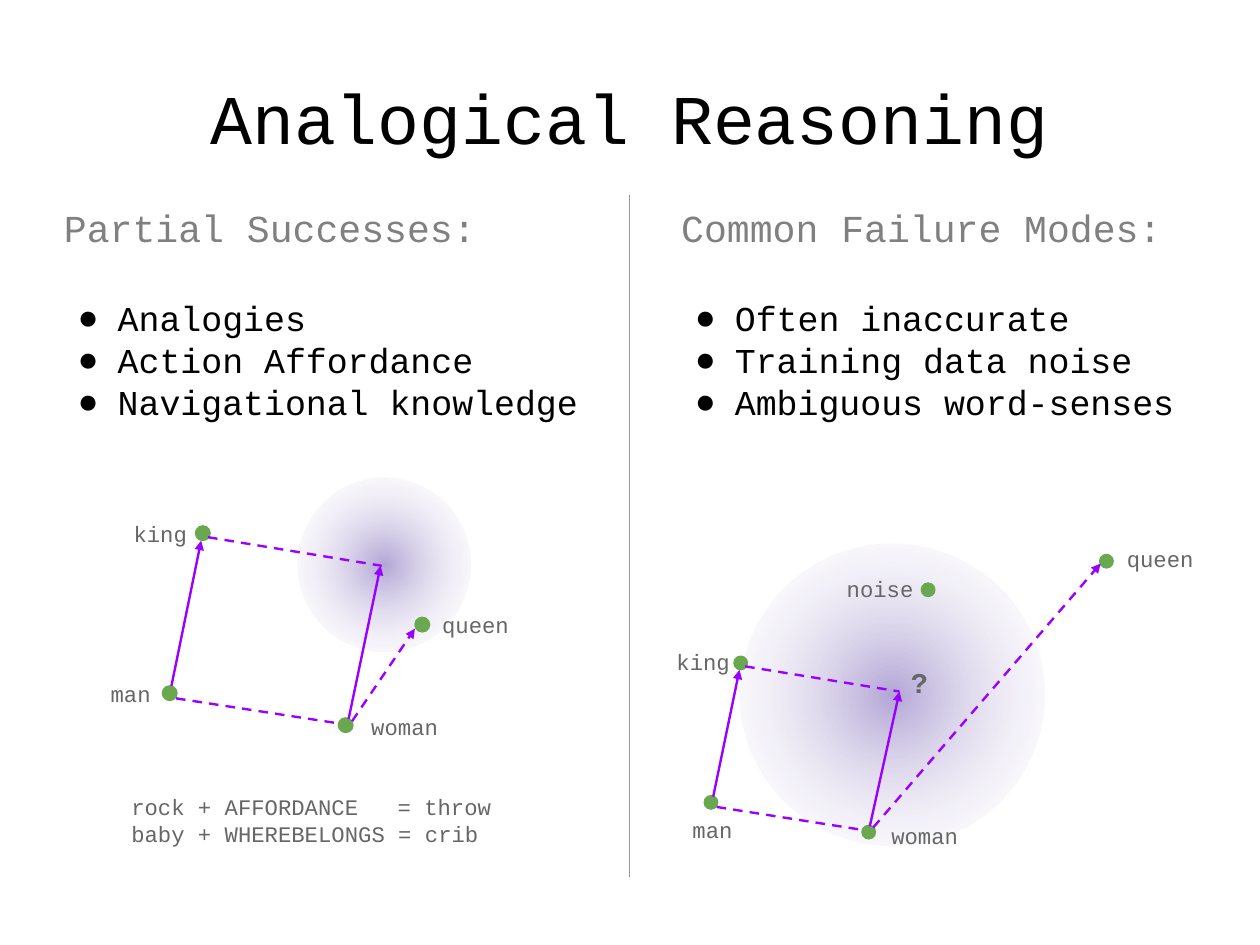
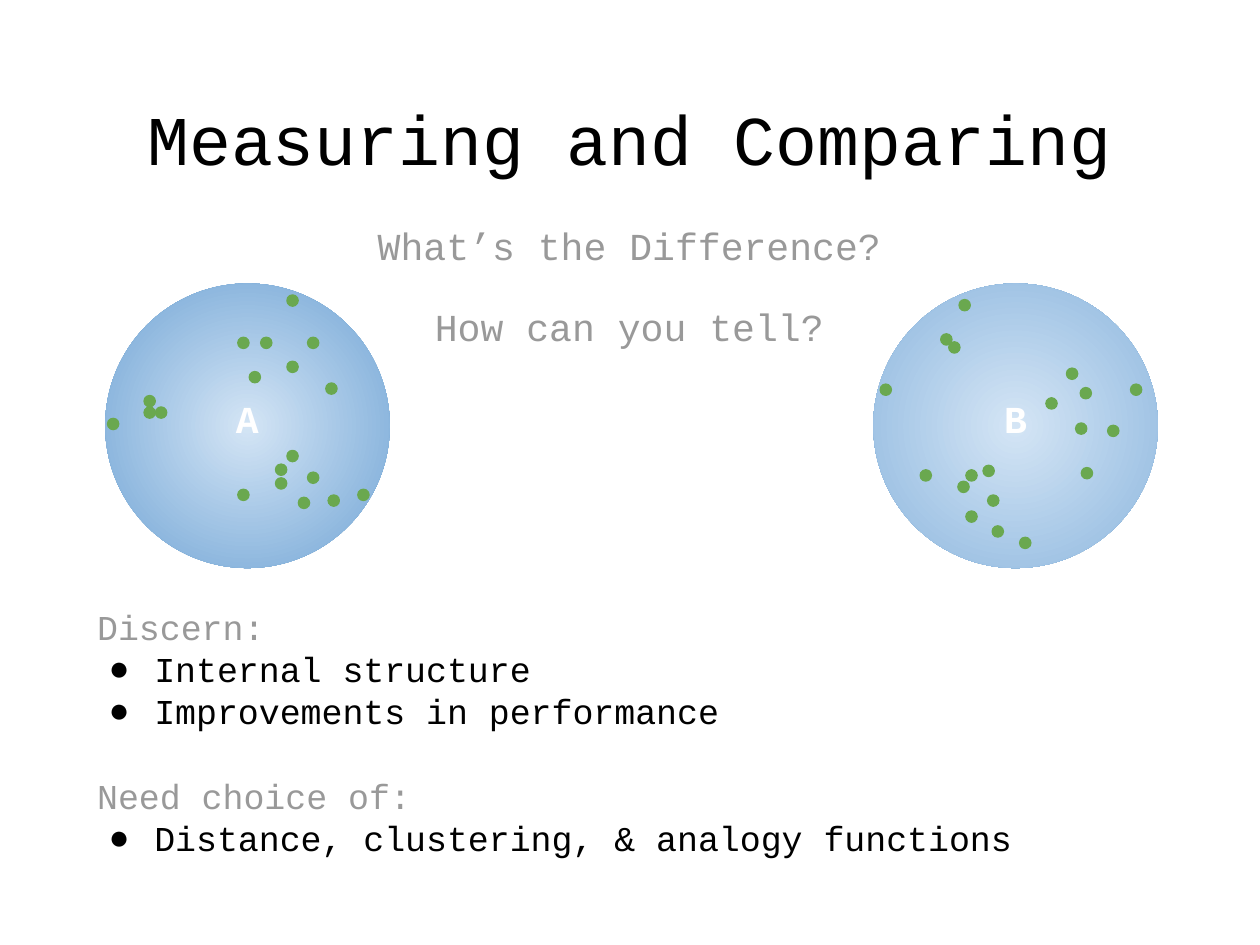
import pptx
import pptx.util
import pptx.dml.color
import pptx.enum.dml
import pptx.enum.shapes
import pptx.enum.text
import pptx.oxml
import pptx.oxml.ns
import lxml.etree

PX = 9144
FACE = "Courier New"
INK = {
    "black": "000000", "head": "808080", "gray": "999999", "label": "666666",
    "white": "FFFFFF", "dot": "6AA84F", "link": "9900FF",
    "haze": "B4A7D6", "pale": "D4E5F5", "blue": "70A4D5",
}
ALIGN = pptx.enum.text.PP_ALIGN
ANCHOR = pptx.enum.text.MSO_ANCHOR
OVAL = pptx.enum.shapes.MSO_SHAPE.OVAL
STRAIGHT = pptx.enum.shapes.MSO_CONNECTOR.STRAIGHT
DASH = pptx.enum.dml.MSO_LINE.DASH
qn = pptx.oxml.ns.qn
NS = pptx.oxml.ns.nsdecls("a")


def write(shape, box, rows, pad=0, anchor=ANCHOR.TOP, align=ALIGN.LEFT):
    shape.left, shape.top, shape.width, shape.height = [v * PX for v in box]
    frame = shape.text_frame
    frame.word_wrap = True
    frame.auto_size = pptx.enum.text.MSO_AUTO_SIZE.NONE
    frame.vertical_anchor = anchor
    frame.margin_left = frame.margin_right = pad * PX
    frame.margin_top = frame.margin_bottom = pad * PX
    for i, (text, size, ink, more) in enumerate(rows):
        para = frame.paragraphs[0] if i == 0 else frame.add_paragraph()
        para.text = text
        prop = para._p.get_or_add_pPr()
        left, hang = more.get("dent", (0, 0))
        if shape.is_placeholder:
            prop.set("marL", str(left * PX))
            prop.set("indent", str(-hang * PX))
        if left:
            tint = lxml.etree.SubElement(prop, qn("a:buClr"))
            lxml.etree.SubElement(tint, qn("a:srgbClr")).set("val", INK["black"])
            lxml.etree.SubElement(prop, qn("a:buChar")).set("char", "●")
        elif shape.is_placeholder:
            lxml.etree.SubElement(prop, qn("a:buNone"))
        if "tab" in more:
            tabs = lxml.etree.SubElement(prop, qn("a:tabLst"))
            stop = lxml.etree.SubElement(tabs, qn("a:tab"))
            stop.set("pos", str(more["tab"] * PX))
            stop.set("algn", "l")
        para.alignment = align
        para.line_spacing = 1.0
        para.space_before = pptx.util.Pt(more.get("gap", 0))
        para.space_after = pptx.util.Pt(0)
        para.font.name = FACE
        para.font.size = pptx.util.Pt(size)
        para.font.bold = more.get("bold", False)
        para.font.color.rgb = pptx.dml.color.RGBColor.from_string(INK[ink])


def draw(slide, box, fill, edge=None, alpha=100):
    oval = slide.shapes.add_shape(OVAL, *[v * PX for v in box])
    oval.shadow.inherit = False
    if edge is None:
        tone = pptx.dml.color.RGBColor.from_string(INK[fill])
        oval.fill.solid()
        oval.fill.fore_color.rgb = tone
        oval.line.color.rgb = tone
        oval.line.width = pptx.util.Pt(0.75)
    else:
        oval.line.fill.background()
        grad = pptx.oxml.parse_xml(
            f'<a:gradFill {NS} rotWithShape="1"><a:gsLst>'
            f'<a:gs pos="0"><a:srgbClr val="{INK[fill]}"/></a:gs>'
            f'<a:gs pos="100000"><a:srgbClr val="{INK[edge]}">'
            f'<a:alpha val="{alpha * 1000}"/></a:srgbClr></a:gs></a:gsLst>'
            '<a:path path="circle"><a:fillToRect l="50000" t="50000" '
            'r="50000" b="50000"/></a:path></a:gradFill>')
        oval._element.spPr.find(qn("a:prstGeom")).addnext(grad)
    return oval


deck = pptx.Presentation()
deck.slide_width, deck.slide_height = pptx.util.Cm(28), pptx.util.Cm(21)
pages = []
for title, box, layout in [
    ("Analogical Reasoning", (55, 33, 992, 138), 3),
    ("Measuring and Comparing", (55, 49, 992, 143), 1),
]:
    page = deck.slides.add_slide(deck.slide_layouts[layout])
    write(page.shapes.title, box, [(title, 44, "black", {})],
          anchor=ANCHOR.MIDDLE, align=ALIGN.CENTER)
    pages.append(page)
first, last = pages

for slot, left, high, head, items in [
    (2, 596, 237, "Common Failure Modes:",
     ["Often inaccurate", "Training data noise", "Ambiguous word-senses"]),
    (1, 56, 244, "Partial Successes:",
     ["Analogies", "Action Affordance", "Navigational knowledge"]),
]:
    rows = [(head, 24, "head", {})]
    for i, item in enumerate(items):
        rows.append((item, 22, "black", {"dent": (47, 35), "gap": 0 if i else 29}))
    write(first.placeholders[slot], (left, 179, 475, high), rows)

graphs = [
    {
        "ball": (260, 418, 152, 152), "size": 13,
        "dots": [(363, 540), (296, 628), (142, 600), (171, 460)],
        "links": [(150, 600, 176, 473, "arrow"), (305, 629, 333, 495, "arrow"),
                  (154, 611, 297, 633, "dash"), (182, 470, 334, 495, "dash"),
                  (308, 631, 363, 550, "dash arrow")],
        "words": [("man", 87, 585), ("king", 107, 445),
                  ("woman", 315, 614), ("queen", 377, 525)],
    },
    {
        "ball": (647, 476, 267, 264), "size": 12,
        "dots": [(962, 485), (754, 722), (616, 696), (642, 574), (806, 510)],
        "links": [(624, 697, 647, 586, "arrow"), (761, 723, 787, 605, "arrow"),
                  (627, 706, 754, 726, "dash"), (652, 583, 787, 605, "dash"),
                  (764, 724, 963, 493, "dash arrow")],
        "words": [("man", 596, 704), ("king", 582, 557), ("woman", 770, 709),
                  ("queen", 976, 467), ("noise", 731, 493), ("?", 787, 572)],
    },
]
lines = [(551, 171, 551, 767, "rule")]
for graph in graphs:
    draw(first, graph["ball"], "haze", "white", 0)
    for x, y in graph["dots"]:
        draw(first, (x, y, graph["size"], graph["size"]), "dot")
    lines += graph["links"]
    for word, x, y in graph["words"]:
        mark = word == "?"
        write(first.shapes.add_textbox(0, 0, 0, 0), (x, y, 96, 39),
              [(word, 18 if mark else 14, "label", {"bold": mark})], pad=10)

for *ends, kind in lines:
    line = first.shapes.add_connector(STRAIGHT, *[v * PX for v in ends])
    rule = kind == "rule"
    line.line.color.rgb = pptx.dml.color.RGBColor.from_string(
        INK["gray" if rule else "link"])
    line.line.width = pptx.util.Pt(0.75 if rule else 1.5)
    if "dash" in kind:
        line.line.dash_style = DASH
    if "arrow" in kind:
        tail = lxml.etree.SubElement(line.line._get_or_add_ln(), qn("a:tailEnd"))
        tail.set("type", "triangle")
    lxml.etree.SubElement(line._element.spPr, qn("a:effectLst"))

write(first.shapes.add_textbox(0, 0, 0, 0), (105, 684, 339, 74), [
    ("rock + AFFORDANCE\t= throw", 14, "label", {"tab": 233}),
    ("baby + WHEREBELONGS = crib", 14, "label", {}),
], pad=10)

item = {"dent": (50, 40)}
write(last.placeholders[1], (85, 530, 869, 220), [
    ("Discern:", 22, "gray", {}),
    ("Internal structure", 22, "black", item),
    ("Improvements in performance", 22, "black", item),
    ("Need choice of:", 22, "gray", {"gap": 27}),
    ("Distance, clustering, & analogy functions", 22, "black", item),
])

for name, left, turn, dots in [
    ("A", 92, 0, [
        (208, 295), (269, 413), (218, 325), (251, 316), (228, 295), (251, 258),
        (285, 335), (241, 406), (251, 394), (261, 435), (208, 428), (241, 418),
        (313, 428), (287, 433), (126, 346), (136, 356), (94, 366), (126, 356),
        (269, 295)]),
    ("B", 764, 54.2, [
        (933, 322), (864, 433), (915, 348), (941, 370), (945, 339), (989, 336),
        (946, 409), (845, 411), (860, 407), (845, 447), (805, 411), (838, 421),
        (892, 470), (868, 460), (830, 299), (770, 336), (839, 262), (823, 292),
        (969, 372)]),
]:
    draw(last, (left, 248, 249, 249), "pale", "blue").rotation = turn
    for x, y in dots:
        draw(last, (x, y, 10, 10), "dot")
    write(last.shapes.add_textbox(0, 0, 0, 0), (left + 18, 336, 213, 73),
          [(name, 24, "white", {"bold": True})], pad=10, align=ALIGN.CENTER)

write(last.shapes.add_textbox(0, 0, 0, 0), (108, 185, 885, 143), [
    ("What’s the Difference?", 24, "gray", {}),
    ("How can you tell?", 24, "gray", {"gap": 22}),
], pad=10, align=ALIGN.CENTER)

deck.save("out.pptx")
